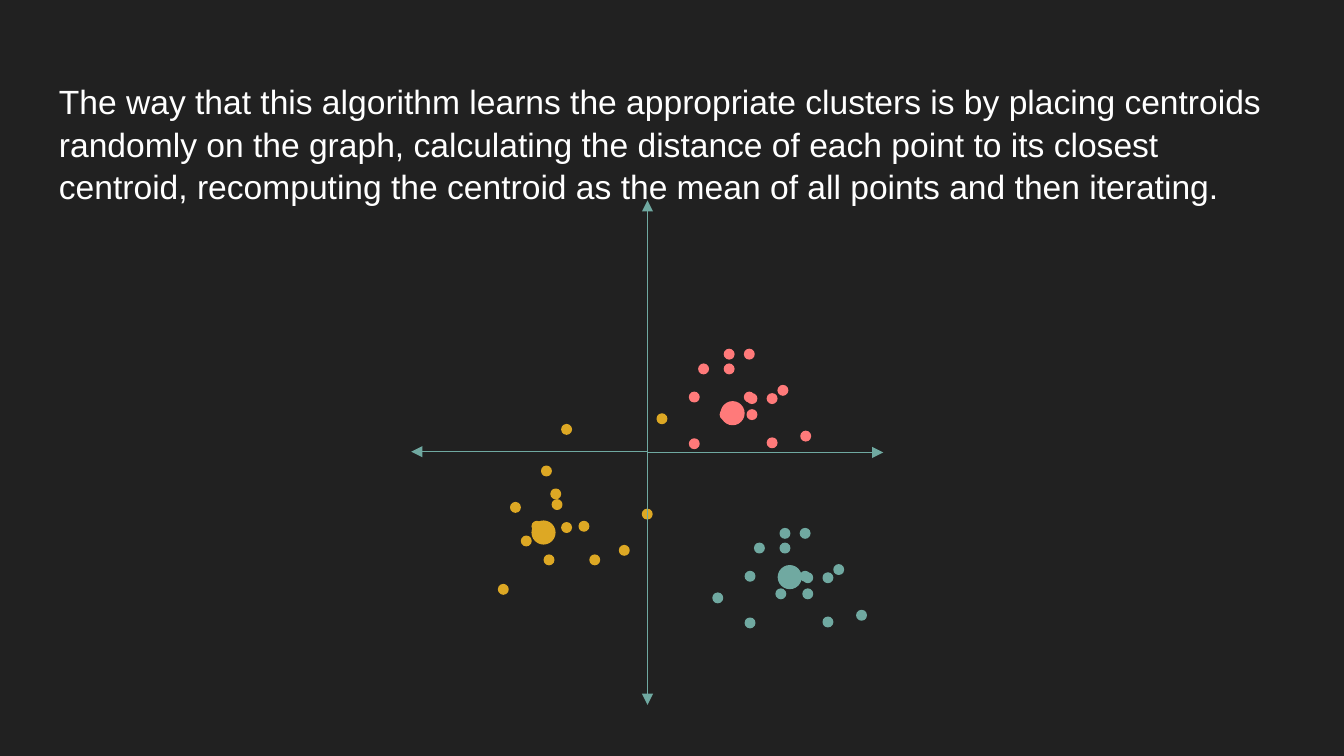
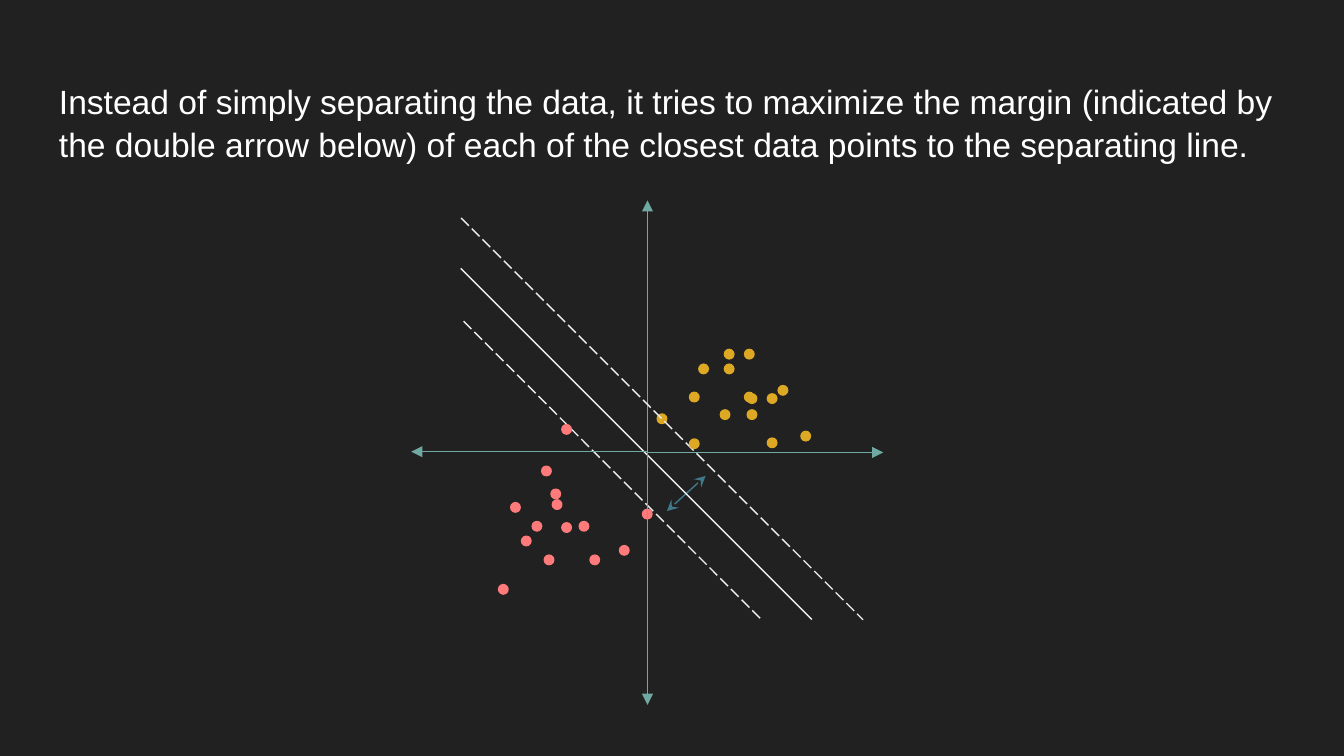
from lxml import etree
from pptx import Presentation
from pptx import util as u
from pptx.dml.color import RGBColor
from pptx.enum import dml, shapes, text
from pptx.oxml import ns

Pt = u.Pt

BACKGROUND = RGBColor(0x21, 0x21, 0x21)
WHITE = RGBColor(0xFF, 0xFF, 0xFF)
PALE = RGBColor(0xEE, 0xEE, 0xEE)
TEAL = RGBColor(0x70, 0xA9, 0xA1)
BLUE = RGBColor(0x40, 0x79, 0x8C)
RED = RGBColor(0xFF, 0x7A, 0x7A)
GOLD = RGBColor(0xDD, 0xA8, 0x24)

FONT = "Arial"
LINE_WIDTH = 0.75
POINT_SIZE = 5.1
CENTROID_SIZE = 12.2

ORIGIN = (346.9, 242.4)
LEFT_ORIGIN = (346.9, 242)
UP, RIGHT, DOWN, LEFT = (346.9, 107.3), (473.2, 242.4), (346.9, 377.6), (220.3, 242)

# Left and top of each data point
BORDER_POINT = (352.1, 221.8)
RIGHT_CLUSTER = [
    (388.1, 187.2), (398.9, 187.2), (374.4, 195.1), (388.1, 195.1),
    (416.9, 206.6), (369.4, 210.2), (398.9, 210.2), (400.3, 211),
    (411.1, 211), (400.3, 219.6), (429.1, 231.1), (411.1, 234.7),
    (369.4, 235.2),
]
INNER_POINT = (385.9, 219.6)
LEFT_CLUSTER = [
    (301, 227.5), (290.2, 249.8), (295.2, 262.1), (295.9, 267.8),
    (273.6, 269.3), (344.2, 272.9), (285.1, 279.4), (310.3, 279.4),
    (301, 280.1), (279.4, 287.3), (331.9, 292.3), (291.6, 297.4),
    (316.1, 297.4), (267.1, 313.2),
]
LOWER_SHIFT = (29.9, 96)
CENTROIDS = [((285.1, 279.2), GOLD), ((386.4, 215.3), RED), ((417, 303.1), TEAL)]

SEPARATING_LINE = ((246.8, 143.8), (434.9, 331.9))
MARGIN_LINES = [((247, 116.8), (462.4, 332.1)), ((248.4, 172.1), (407.2, 331.2))]
MARGIN_ARROW = ((357.3, 273.8), (378, 255))

CLUSTERING_TITLE = (
    "The way that this algorithm learns the appropriate clusters is by placing "
    "centroids randomly on the graph, calculating the distance of each point to "
    "its closest centroid, recomputing the centroid as the mean of all points "
    "and then iterating."
)
MARGIN_TITLE = (
    "Instead of simply separating the data, it tries to maximize the margin "
    "(indicated by the double arrow below) of each of the closest data points to "
    "the separating line."
)


def apply_format(target, values):
    for name, value in values.items():
        setattr(target, name, value)


def add_slide(presentation, title):
    slide = presentation.slides.add_slide(presentation.slide_layouts[6])
    fill = slide.background.fill
    fill.solid()
    fill.fore_color.rgb = BACKGROUND
    add_title(slide, title)
    return slide


def add_title(slide, title):
    box = slide.shapes.add_textbox(Pt(24.5), Pt(35.3), Pt(671), Pt(45.4))
    inset = Pt(7.2)
    apply_format(box.text_frame, {
        "word_wrap": True, "vertical_anchor": text.MSO_ANCHOR.TOP,
        "margin_left": inset, "margin_right": inset,
        "margin_top": inset, "margin_bottom": inset,
    })
    paragraph = box.text_frame.paragraphs[0]
    paragraph.line_spacing = 1.05
    run = paragraph.add_run()
    run.text = title
    apply_format(run.font, {"name": FONT, "size": Pt(18)})
    run.font.color.rgb = WHITE


def add_dots(slide, positions, color, size=POINT_SIZE):
    for left, top in positions:
        dot = slide.shapes.add_shape(
            shapes.MSO_SHAPE.OVAL, Pt(left), Pt(top), Pt(size), Pt(size))
        dot.shadow.inherit = False
        dot.fill.solid()
        dot.fill.fore_color.rgb = color
        dot.line.color.rgb = color
        dot.line.width = Pt(LINE_WIDTH)


def add_line(slide, start, end, color, dash=None, head=None, tail=None):
    """Draw a straight line; head and tail name the arrowheads at start and end."""
    connector = slide.shapes.add_connector(
        shapes.MSO_CONNECTOR.STRAIGHT, *(Pt(value) for value in (*start, *end)))
    line = connector.line
    line.color.rgb = color
    apply_format(line, {"width": Pt(LINE_WIDTH), "dash_style": dash})
    properties = connector._element.spPr
    outline = properties.find(ns.qn("a:ln"))
    for tag, arrow in (("a:headEnd", head), ("a:tailEnd", tail)):
        if arrow:
            etree.SubElement(outline, ns.qn(tag), type=arrow, w="med", len="med")
    etree.SubElement(properties, ns.qn("a:effectLst"))


def add_axes(slide, origin, ends):
    for end in ends:
        add_line(slide, origin, end, TEAL, tail="triangle")


def add_closing_axes(slide):
    """Draw the half-axes that lie over the points."""
    add_axes(slide, ORIGIN, [DOWN])
    add_axes(slide, LEFT_ORIGIN, [LEFT])


def add_clustering_slide(presentation):
    slide = add_slide(presentation, CLUSTERING_TITLE)
    add_axes(slide, ORIGIN, [UP, RIGHT])
    right_points = RIGHT_CLUSTER + [INNER_POINT]
    add_dots(slide, [BORDER_POINT] + LEFT_CLUSTER, GOLD)
    add_dots(slide, right_points, RED)
    add_closing_axes(slide)
    shift_x, shift_y = LOWER_SHIFT
    lower_cluster = [(x + shift_x, y + shift_y)
                     for x, y in right_points + [BORDER_POINT]]
    add_dots(slide, lower_cluster, TEAL)
    for position, color in CENTROIDS:
        add_dots(slide, [position], color, CENTROID_SIZE)


def add_margin_slide(presentation):
    slide = add_slide(presentation, MARGIN_TITLE)
    add_line(slide, *MARGIN_ARROW, BLUE, head="stealth", tail="stealth")
    add_axes(slide, ORIGIN, [UP, RIGHT])
    add_dots(slide, [BORDER_POINT], GOLD)
    add_line(slide, *SEPARATING_LINE, PALE)
    for start, end in MARGIN_LINES:
        add_line(slide, start, end, PALE, dash=dml.MSO_LINE.LONG_DASH)
    add_dots(slide, LEFT_CLUSTER, RED)
    add_dots(slide, RIGHT_CLUSTER + [INNER_POINT], GOLD)
    add_closing_axes(slide)


def main():
    presentation = Presentation()
    apply_format(presentation, {"slide_width": Pt(720), "slide_height": Pt(405)})
    add_clustering_slide(presentation)
    add_margin_slide(presentation)
    presentation.save("out.pptx")


if __name__ == "__main__":
    main()
